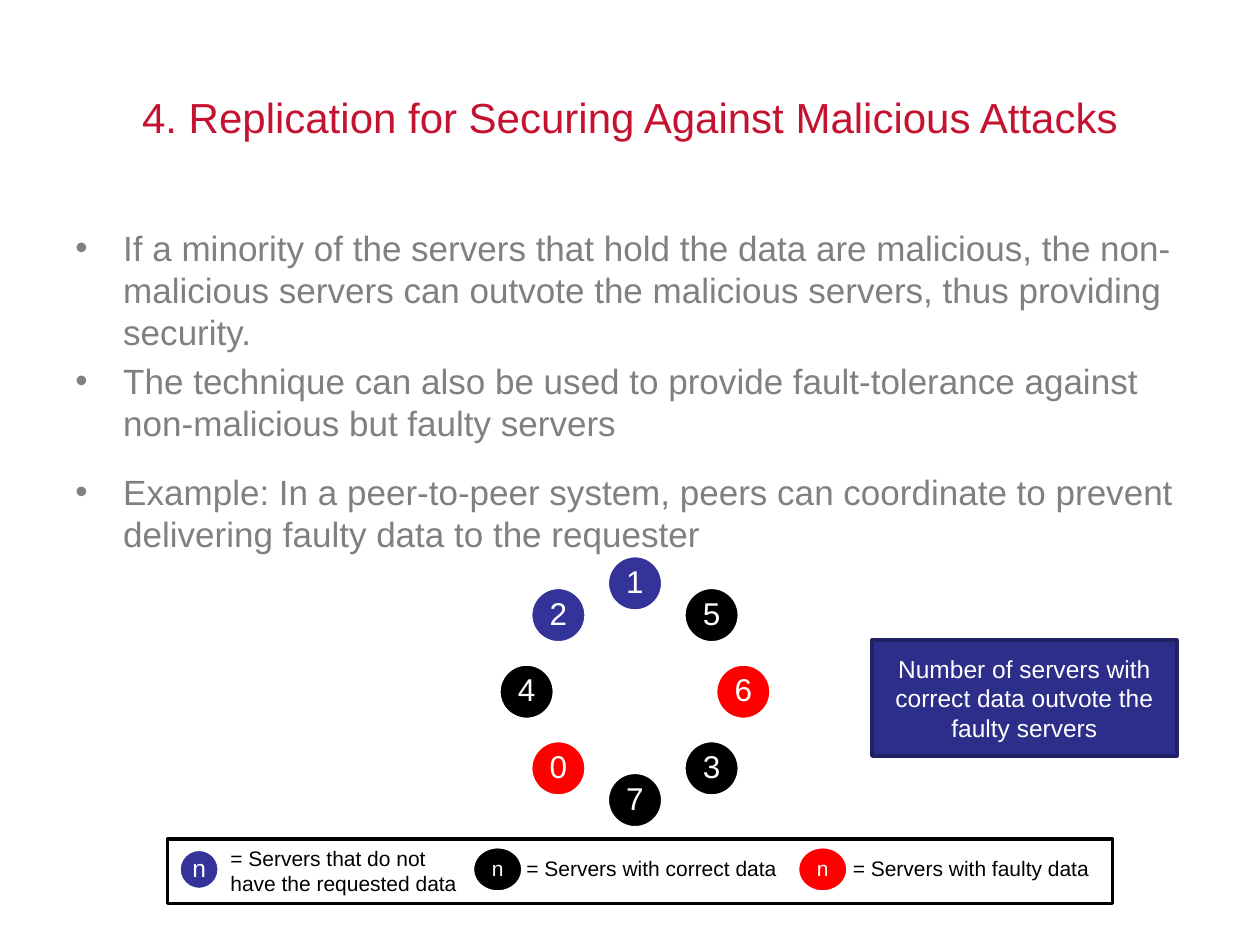
from dataclasses import dataclass
from math import cos, radians, sin

from lxml import etree
from pptx import Presentation
from pptx.dml.color import RGBColor
from pptx.enum.shapes import MSO_SHAPE
from pptx.enum.text import MSO_ANCHOR, PP_ALIGN
from pptx.oxml.ns import qn
from pptx.shapes.autoshape import Shape
from pptx.slide import Slide
from pptx.util import Inches, Pt

OVAL, RECT = MSO_SHAPE.OVAL, MSO_SHAPE.RECTANGLE
LEFT, CENTER = PP_ALIGN.LEFT, PP_ALIGN.CENTER
TOP, MIDDLE = MSO_ANCHOR.TOP, MSO_ANCHOR.MIDDLE
FONT = "Arial"
WHITE, BLACK, GREY, CRIMSON = "FFFFFF", "000000", "808080", "C41230"
NO_DATA, CORRECT, FAULTY = "333399", "000000", "FF0000"
RING_X, RING_Y, RING_RADIUS, SERVER_SIZE = 5.04, 5.49, 0.86, 0.44


@dataclass(frozen=True)
class Area:
    left: float
    top: float
    width: float
    height: float

    def lengths(self) -> list[int]:
        return [Inches(n) for n in (self.left, self.top, self.width, self.height)]


@dataclass(frozen=True)
class Server:
    label: str
    color: str


@dataclass(frozen=True)
class LegendEntry:
    color: str
    size: int
    marker: Area
    label: Area
    lines: tuple[str, ...]


@dataclass(frozen=True)
class Bullet:
    text: str
    space_before: float


SERVERS = (
    Server("1", NO_DATA), Server("5", CORRECT), Server("6", FAULTY), Server("3", CORRECT),
    Server("7", CORRECT), Server("0", FAULTY), Server("4", CORRECT), Server("2", NO_DATA),
)
LEGEND = (
    LegendEntry(NO_DATA, 14, Area(1.42, 6.74, 0.32, 0.32), Area(1.73, 6.66, 2.02, 0.51),
                ("= Servers that do not", "have the requested data")),
    LegendEntry(CORRECT, 12, Area(3.75, 6.72, 0.4, 0.36), Area(4.08, 6.74, 2.33, 0.3),
                ("= Servers with correct data",)),
    LegendEntry(FAULTY, 12, Area(6.33, 6.72, 0.4, 0.36), Area(6.67, 6.74, 2.33, 0.3),
                ("= Servers with faulty data",)),
)
BULLETS = (
    Bullet("If a minority of the servers that hold the data are malicious, the non-malicious "
           "servers can outvote the malicious servers, thus providing security.", 0),
    Bullet("The technique can also be used to provide fault-tolerance against non-malicious "
           "but faulty servers", 4),
    Bullet("Example: In a peer-to-peer system, peers can coordinate to prevent delivering "
           "faulty data to the requester", 15.5),
)


def rgb(color: str) -> RGBColor:
    """Turn a hex string into a colour."""
    return RGBColor.from_string(color)


def add_span(para, text: str, size: int, color: str) -> None:
    """Add one styled run to a paragraph."""
    span = para.add_run()
    span.text = text
    span.font.name = FONT
    span.font.size = Pt(size)
    span.font.color.rgb = rgb(color)


def write_lines(box: Shape, lines: tuple[str, ...], size: int, color: str,
                align: PP_ALIGN, anchor: MSO_ANCHOR) -> None:
    """Write one paragraph per line into a shape."""
    frame = box.text_frame
    frame.word_wrap = True
    frame.vertical_anchor = anchor
    for index, line in enumerate(lines):
        para = frame.add_paragraph() if index else frame.paragraphs[0]
        para.alignment = align
        add_span(para, line, size, color)


def add_block(page: Slide, kind: MSO_SHAPE, area: Area, fill: str, line: str) -> Shape:
    """Draw a filled and outlined shape."""
    block = page.shapes.add_shape(kind, *area.lengths())
    block.shadow.inherit = False
    block.fill.solid()
    block.fill.fore_color.rgb = rgb(fill)
    block.line.color.rgb = rgb(line)
    block.line.width = Pt(2)
    return block


def add_label(page: Slide, area: Area, lines: tuple[str, ...], size: int, color: str,
              align: PP_ALIGN = LEFT, anchor: MSO_ANCHOR = TOP) -> None:
    """Place a text box."""
    box = page.shapes.add_textbox(*area.lengths())
    write_lines(box, lines, size, color, align, anchor)


def add_marker(page: Slide, area: Area, text: str, size: int, fill: str) -> None:
    """Draw a server circle with its label."""
    circle = add_block(page, OVAL, area, fill, WHITE)
    frame = circle.text_frame
    frame.margin_left = frame.margin_right = Inches(0.03)
    frame.margin_top = frame.margin_bottom = Inches(0.03)
    write_lines(circle, (text,), size, WHITE, CENTER, MIDDLE)
    frame.paragraphs[0].line_spacing = 0.9


def add_bullets(page: Slide, area: Area) -> None:
    """Write the bulleted list."""
    box = page.shapes.add_textbox(*area.lengths())
    frame = box.text_frame
    frame.word_wrap = True
    for index, bullet in enumerate(BULLETS):
        para = frame.add_paragraph() if index else frame.paragraphs[0]
        para.space_before = Pt(bullet.space_before)
        properties = para._p.get_or_add_pPr()
        properties.set("marL", str(Inches(0.38)))
        properties.set("indent", str(Inches(-0.38)))
        etree.SubElement(properties, qn("a:buFont")).set("typeface", FONT)
        etree.SubElement(properties, qn("a:buChar")).set("char", "•")
        add_span(para, bullet.text, 20, GREY)


def add_ring(page: Slide) -> None:
    """Place the servers clockwise around a circle."""
    for index, server in enumerate(SERVERS):
        angle = radians(index * 360 / len(SERVERS))
        left = RING_X + RING_RADIUS * sin(angle) - SERVER_SIZE / 2
        top = RING_Y - RING_RADIUS * cos(angle) - SERVER_SIZE / 2
        add_marker(page, Area(left, top, SERVER_SIZE, SERVER_SIZE), server.label, 18, server.color)


def add_legend(page: Slide) -> None:
    """Draw the framed legend."""
    add_block(page, RECT, Area(1.33, 6.66, 7.5, 0.51), WHITE, BLACK)
    for entry in LEGEND:
        add_marker(page, entry.marker, "n", entry.size, entry.color)
        add_label(page, entry.label, entry.lines, 12, BLACK)


def main() -> None:
    """Build and save the deck."""
    deck = Presentation()
    deck.slide_width, deck.slide_height = Inches(10), Inches(7.5)
    page = deck.slides.add_slide(deck.slide_layouts[6])
    add_ring(page)
    add_label(page, Area(0.5, 0.3, 9, 1.25),
              ("4. Replication for Securing Against Malicious Attacks",), 24, CRIMSON, CENTER, MIDDLE)
    add_bullets(page, Area(0.5, 1.75, 9, 2.17))
    add_legend(page)
    callout = add_block(page, RECT, Area(6.92, 5.08, 2.42, 0.92), "2D2D8A", "212166")
    write_lines(callout, ("Number of servers with correct data outvote the faulty servers",),
                14, WHITE, CENTER, MIDDLE)
    deck.save("out.pptx")


if __name__ == "__main__":
    main()
